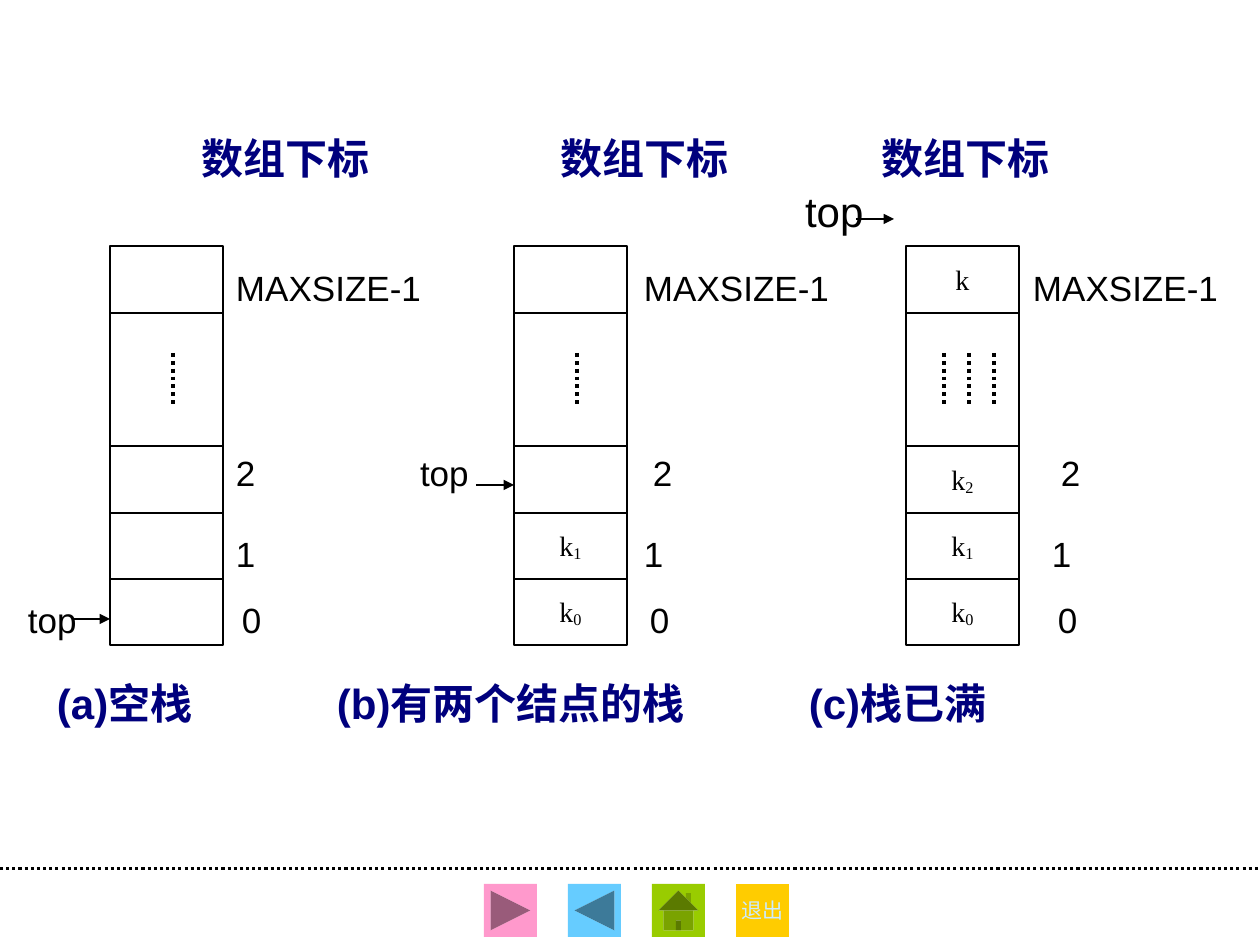
"""Build a slide showing an array stack when empty, holding two nodes, and full."""
from pptx import Presentation
from pptx.dml.color import RGBColor
from pptx.enum import dml, shapes, text
from pptx.oxml.xmlchemy import OxmlElement
from pptx.util import Emu, Pt

BLACK = RGBColor(0x00, 0x00, 0x00)
WHITE = RGBColor(0xFF, 0xFF, 0xFF)
NAVY = RGBColor(0x00, 0x00, 0x7D)
PALE_BLUE = RGBColor(0xCC, 0xEC, 0xFF)
PINK = RGBColor(0xFF, 0x99, 0xCC)
SKY = RGBColor(0x66, 0xCC, 0xFF)
GREEN = RGBColor(0x99, 0xCC, 0x00)
GOLD = RGBColor(0xFF, 0xCC, 0x00)
SANS, SERIF, CJK = "Arial", "Times New Roman", "Noto Sans CJK SC"

BUTTON = shapes.MSO_SHAPE
BUTTONS = [
    (BUTTON.ACTION_BUTTON_FORWARD_OR_NEXT, PINK, ""),
    (BUTTON.ACTION_BUTTON_BACK_OR_PREVIOUS, SKY, ""),
    (BUTTON.ACTION_BUTTON_HOME, GREEN, ""),
    (BUTTON.ACTION_BUTTON_CUSTOM, GOLD, "退出"),
]
# stack left, cells from bottom to top as (key, subscript), dotted columns
STACKS = [
    (110, [("", ""), ("", ""), ("", ""), ("", "")], [63]),
    (514, [("k", "0"), ("k", "1"), ("", ""), ("", "")], [63]),
    (906, [("k", "0"), ("k", "1"), ("k", "2"), ("k", "")], [38, 63, 88]),
]
# middle height, point size, colour, bold, labels as (left, wording)
LABEL_ROWS = [
    (158, 24, NAVY, True, [(202, "数组下标"), (561, "数组下标"), (882, "数组下标")]),
    (287, 20, BLACK, False, [(236, "MAXSIZE-1"), (644, "MAXSIZE-1"), (1033, "MAXSIZE-1")]),
    (473, 20, BLACK, False, [(236, "2"), (420, "top"), (653, "2"), (1061, "2")]),
    (553, 20, BLACK, False, [(236, "1"), (644, "1"), (1052, "1")]),
    (620, 20, BLACK, False, [(28, "top"), (242, "0"), (650, "0"), (1058, "0")]),
    (211, 24, BLACK, False, [(805, "top")]),
    (703, 24, NAVY, True, [(57, "(a)空栈"), (337, "(b)有两个结点的栈"), (809, "(c)栈已满")]),
]
TOP_ARROWS = [(72, 619), (476, 485), (856, 219)]
ARROW_LENGTH = 38
SLIDE_WIDTH, SLIDE_HEIGHT = 1260, 945
CELL_WIDTH, CELL_HEIGHT, STACK_BOTTOM = 113, 67, 645
CELL_TOPS = [578, 512, 446, 246]
SIDE_TOP, SIDE_BOTTOM = 299, 459
DOTS_TOP, DOTS_BOTTOM = 353, 406
RULE_Y = 869
BUTTON_LEFT, BUTTON_TOP, BUTTON_SIZE, BUTTON_PITCH = 484, 884, 53, 84
LABEL_HEIGHT = 63


def px(*lengths):
    return [Emu(round(length * 914400 / 126)) for length in lengths]


def add_run(paragraph, wording, size, color, font=SANS, bold=False):
    run = paragraph.add_run()
    run.text = wording
    run.font.size = Pt(size)
    run.font.name = font
    run.font.bold = bold
    run.font.color.rgb = color
    east_asian = OxmlElement("a:ea")
    east_asian.set("typeface", CJK)
    run.font._element.append(east_asian)
    return run


def plain_frame(shape):
    frame = shape.text_frame
    frame.margin_left = frame.margin_right = frame.margin_top = frame.margin_bottom = 0
    frame.vertical_anchor = text.MSO_ANCHOR.MIDDLE
    frame.word_wrap = False
    return frame.paragraphs[0]


def add_box(slide, kind, box, fill):
    shape = slide.shapes.add_shape(kind, *px(*box))
    shape.shadow.inherit = False
    shape.fill.solid()
    shape.fill.fore_color.rgb = fill
    shape.line.fill.background()
    paragraph = plain_frame(shape)
    paragraph.alignment = text.PP_ALIGN.CENTER
    return shape, paragraph


def add_line(slide, ends, width=0.75, dotted=False, arrow=False):
    line = slide.shapes.add_connector(shapes.MSO_CONNECTOR.STRAIGHT, *px(*ends))
    line.line.color.rgb = BLACK
    line.line.width = Pt(width)
    if dotted:
        line.line.dash_style = dml.MSO_LINE.ROUND_DOT
    if arrow:
        tail = OxmlElement("a:tailEnd")
        tail.set("type", "triangle")
        line.line._get_or_add_ln().append(tail)
    line._element.spPr.append(OxmlElement("a:effectLst"))


def add_label(slide, left, middle, wording, size, color, bold):
    width = 24 + size * 2 * len(wording)
    width = min(width, SLIDE_WIDTH - left)
    box = slide.shapes.add_textbox(*px(left, middle - LABEL_HEIGHT / 2, width, LABEL_HEIGHT))
    add_run(plain_frame(box), wording, size, color, bold=bold)


def add_stack(slide, left, cells, dot_columns):
    for top, (key, subscript) in zip(CELL_TOPS, cells):
        cell, paragraph = add_box(
            slide, BUTTON.RECTANGLE, (left, top, CELL_WIDTH, CELL_HEIGHT), WHITE)
        cell.line.color.rgb = BLACK
        cell.line.width = Pt(0.75)
        if key:
            add_run(paragraph, key, 16, BLACK, SERIF)
        if subscript:
            run = add_run(paragraph, subscript, 16, BLACK, SERIF)
            run.font._element.set("baseline", "-12000")
    for x in (left, left + CELL_WIDTH):
        add_line(slide, (x, SIDE_TOP, x, SIDE_BOTTOM))
    for offset in dot_columns:
        x = left + offset
        add_line(slide, (x, DOTS_TOP, x, DOTS_BOTTOM), 2.25, dotted=True)


def main():
    presentation = Presentation()
    presentation.slide_width, presentation.slide_height = px(SLIDE_WIDTH, SLIDE_HEIGHT)
    slide = presentation.slides.add_slide(presentation.slide_layouts[6])
    add_line(slide, (0, RULE_Y, SLIDE_WIDTH, RULE_Y), 1.75, dotted=True)
    for index, (kind, fill, wording) in enumerate(BUTTONS):
        left = BUTTON_LEFT + index * BUTTON_PITCH
        _, paragraph = add_box(slide, kind, (left, BUTTON_TOP, BUTTON_SIZE, BUTTON_SIZE), fill)
        if wording:
            add_run(paragraph, wording, 12, PALE_BLUE)
    for stack in STACKS:
        add_stack(slide, *stack)
    for middle, size, color, bold, labels in LABEL_ROWS:
        for left, wording in labels:
            add_label(slide, left, middle, wording, size, color, bold)
    for x, y in TOP_ARROWS:
        add_line(slide, (x, y, x + ARROW_LENGTH, y), arrow=True)
    presentation.save("out.pptx")


if __name__ == "__main__":
    main()
